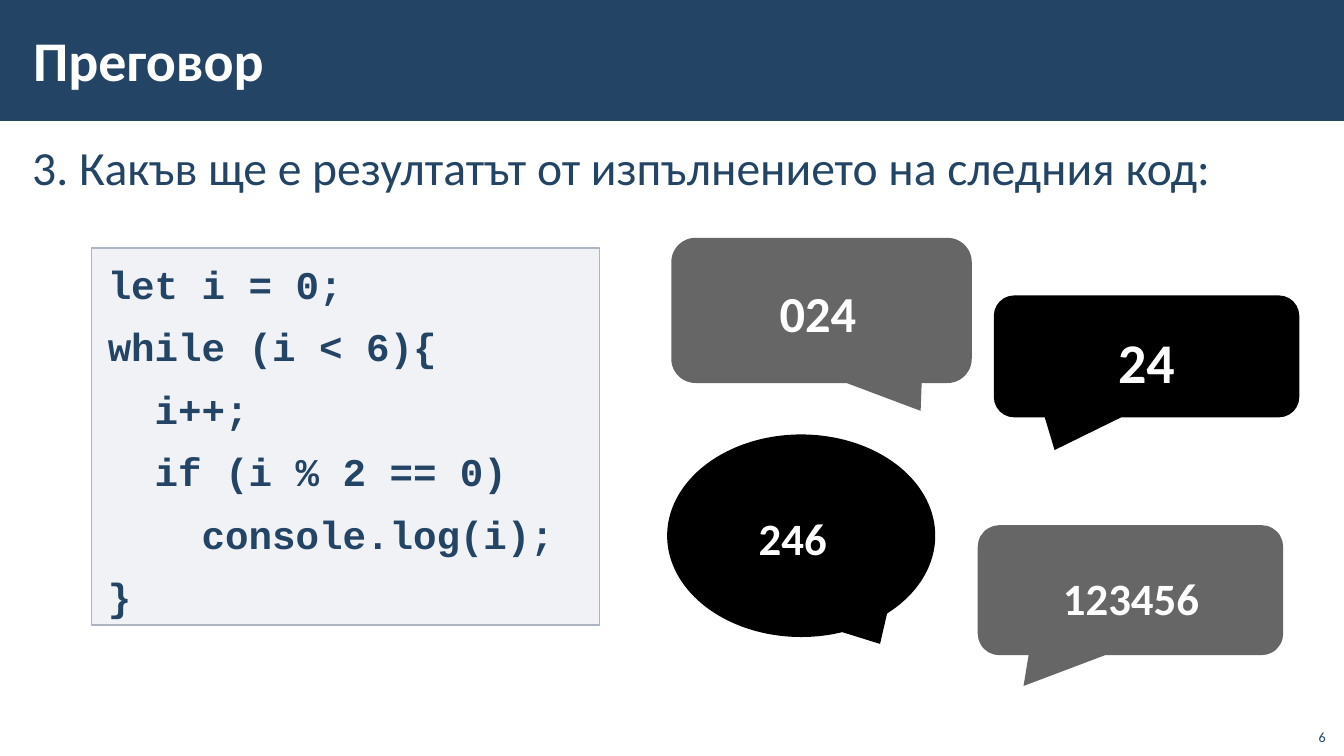
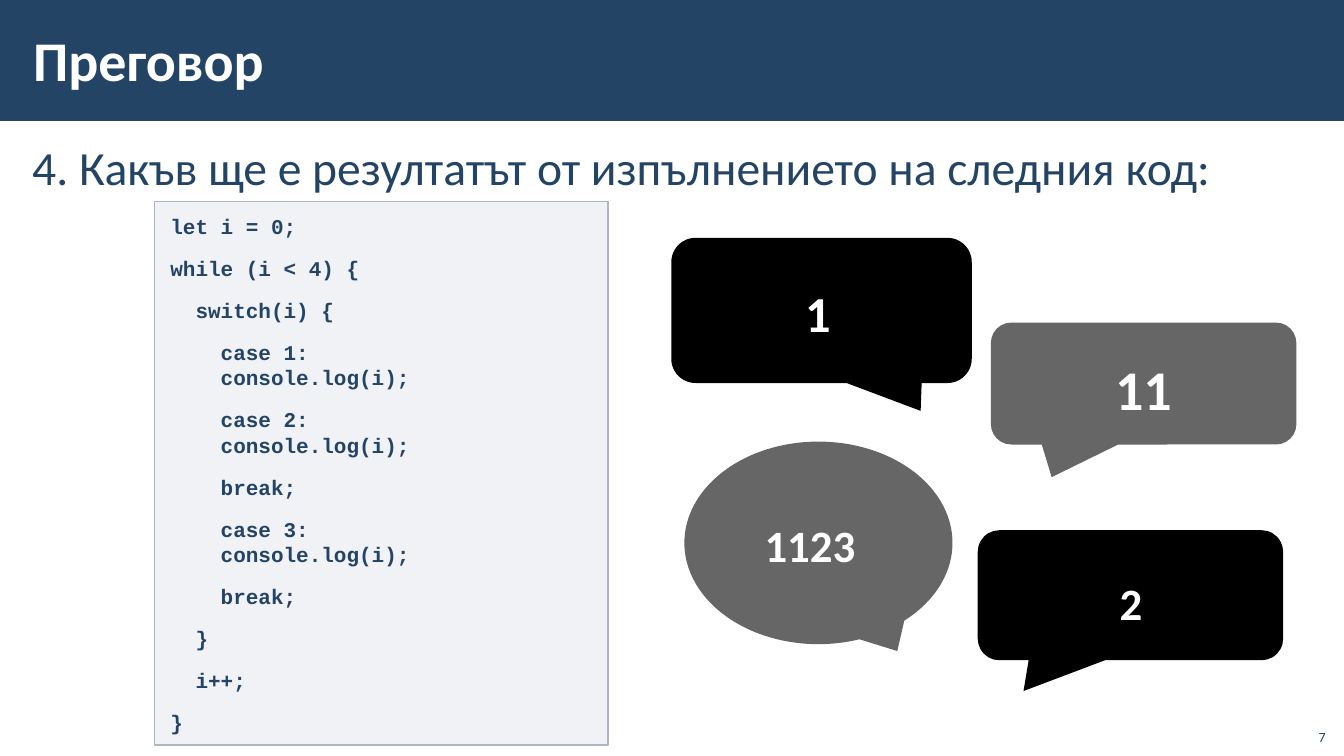
import copy

import pptx
import pptx.dml.color
import pptx.enum.shapes
import pptx.enum.text
import pptx.oxml
import pptx.oxml.ns
import pptx.util

Pt = pptx.util.Pt
RGBColor = pptx.dml.color.RGBColor
SHAPE = pptx.enum.shapes.MSO_SHAPE
ALIGN = pptx.enum.text.PP_ALIGN
ANCHOR = pptx.enum.text.MSO_ANCHOR
qn = pptx.oxml.ns.qn

NAVY = RGBColor(0x23, 0x44, 0x65)
WHITE = RGBColor(0xFF, 0xFF, 0xFF)
BLACK = RGBColor(0x00, 0x00, 0x00)
GRAY = RGBColor(0x66, 0x66, 0x66)
CODE_FILL = RGBColor(0xA3, 0xAB, 0xBC)
CODE_LINE = RGBColor(0xAD, 0xB4, 0xC3)

WIDE_INSETS = (11.5, 8.6)
SLIM_INSETS = (8.6, 2.9)


def write(box, lines, size, color=NAVY, font="Calibri", bold=False, align=ALIGN.LEFT,
          anchor=ANCHOR.TOP, insets=WIDE_INSETS, line_spacing=1.0, gap=0, indent=0):
    """Fill a box with one paragraph per line; a newline inside a line is a soft break."""
    frame = box.text_frame
    frame.word_wrap = True
    frame.vertical_anchor = anchor
    frame.margin_left = frame.margin_right = Pt(insets[0])
    frame.margin_top = frame.margin_bottom = Pt(insets[1])
    for index, line in enumerate(lines):
        para = frame.add_paragraph() if index else frame.paragraphs[0]
        para.text = line
        para.alignment = align
        para.line_spacing = line_spacing
        para.space_before = para.space_after = Pt(gap)
        if indent:
            para._p.get_or_add_pPr().set("marL", str(Pt(indent)))
        for span in para.runs:
            span.font.name = font
            span.font.size = Pt(size)
            span.font.bold = bold
            span.font.color.rgb = color
        # A soft break takes the format of the text around it
        for soft_break in para._p.findall(qn("a:br")):
            soft_break.append(copy.deepcopy(para.runs[0]._r.rPr))


def add_filled(shapes, preset, place, color):
    shape = shapes.add_shape(preset, *map(Pt, place))
    shape.shadow.inherit = False
    shape.fill.solid()
    shape.fill.fore_color.rgb = color
    shape.line.fill.background()
    return shape


# Answer bubbles: preset, size, adjustments, label offset, label size, label format
BUBBLES = {
    "ellipse": (SHAPE.OVAL_CALLOUT, (191.5, 144.7), (0.294, 0.534),
                (-46, 45.7), (235.4, 55.4), dict(size=32, indent=36)),
    "right": (SHAPE.ROUNDED_RECTANGULAR_CALLOUT, (218.2, 87.1), (-0.301, 0.768, 0.167),
              (1, 9.7), (216, 69.8), dict(size=40, line_spacing=1.1)),
    "lower": (SHAPE.ROUNDED_RECTANGULAR_CALLOUT, (218.2, 92.9), (-0.35, 0.737, 0.167),
              (-1.4, 20), (221.8, 59), dict(size=32, line_spacing=1.1)),
    "left": (SHAPE.ROUNDED_RECTANGULAR_CALLOUT, (214.6, 103.7), (0.33, 0.692, 0.167),
             (23, 18.7), (163.4, 64.8), dict(size=36, line_spacing=1.1)),
}

# Questions: number, page number, code place, code format, code, answers
QUESTIONS = [
    (3, 6, (65.5, 177.1, 362.9, 269.3), dict(size=28, gap=5.5),
     ["let i = 0;",
      "while (i < 6){",
      "  i++;",
      "  if (i % 2 == 0)",
      "    console.log(i);",
      "}"],
     [("ellipse", "246", (476.6, 310.3), BLACK),
      ("right", "24", (709.9, 211), BLACK),
      ("lower", "123456", (698.4, 375.1), GRAY),
      ("left", "024", (479.5, 169.9), GRAY)]),
    (4, 7, (110.2, 144, 324, 388.1), dict(size=15, gap=6),
     ["let i = 0;",
      "while (i < 4) {",
      "  switch(i) {",
      "    case 1:\n    console.log(i);",
      "    case 2:\n    console.log(i);",
      "    break;",
      "    case 3:\n    console.log(i);",
      "    break;",
      "  }",
      "  i++;",
      "}"],
     [("ellipse", "1123", (488.9, 315.4), GRAY),
      ("right", "11", (707.8, 230.4), GRAY),
      ("lower", "2", (698.4, 378.7), BLACK),
      ("left", "1", (479.5, 169.9), BLACK)]),
]

deck = pptx.Presentation()
deck.slide_width = Pt(960)
deck.slide_height = Pt(540)

for number, page_number, code_place, code_format, code, answers in QUESTIONS:
    page = deck.slides.add_slide(deck.slide_layouts[6])

    # Title band
    add_filled(page.shapes, SHAPE.RECTANGLE, (0, 0, 960, 86.4), NAVY)
    title = page.shapes.add_textbox(Pt(15.1), Pt(7.9), Pt(764.6), Pt(69.1))
    write(title, ["Преговор"], size=40, color=WHITE, bold=True,
          anchor=ANCHOR.MIDDLE, insets=SLIM_INSETS)

    # Question
    question = page.shapes.add_textbox(Pt(14.4), Pt(93.6), Pt(929.5), Pt(408.2))
    write(question, [f"{number}. Какъв ще е резултатът от изпълнението на следния код:"],
          size=34, insets=SLIM_INSETS, line_spacing=1.05, gap=6)

    # Code panel with a translucent fill
    panel = add_filled(page.shapes, SHAPE.RECTANGLE, code_place, CODE_FILL)
    fill_color = panel._element.spPr.find(qn("a:solidFill"))[0]
    alpha = pptx.oxml.parse_xml(
        f'<a:alpha {pptx.oxml.ns.nsdecls("a")} val="15000"/>')
    fill_color.append(alpha)
    panel.line.color.rgb = CODE_LINE
    panel.line.width = Pt(1)
    write(panel, code, font="Courier New", bold=True, **code_format)

    # Answer bubbles, each grouped with its label
    for kind, answer, (left, top), color in answers:
        preset, bubble_size, adjustments, offset, label_size, label_format = BUBBLES[kind]
        group = page.shapes.add_group_shape()
        bubble = add_filled(group.shapes, preset, (left, top, *bubble_size), color)
        for index, value in enumerate(adjustments):
            bubble.adjustments[index] = value
        label = group.shapes.add_textbox(Pt(left + offset[0]), Pt(top + offset[1]),
                                         *map(Pt, label_size))
        write(label, [answer], color=WHITE, bold=True, align=ALIGN.CENTER, **label_format)

    # Page number
    footer = page.shapes.add_textbox(Pt(925.2), Pt(512.6), Pt(28.8), Pt(23))
    write(footer, [str(page_number)], size=10, align=ALIGN.RIGHT,
          anchor=ANCHOR.BOTTOM, insets=(7.2, 3.6))

deck.save("out.pptx")
